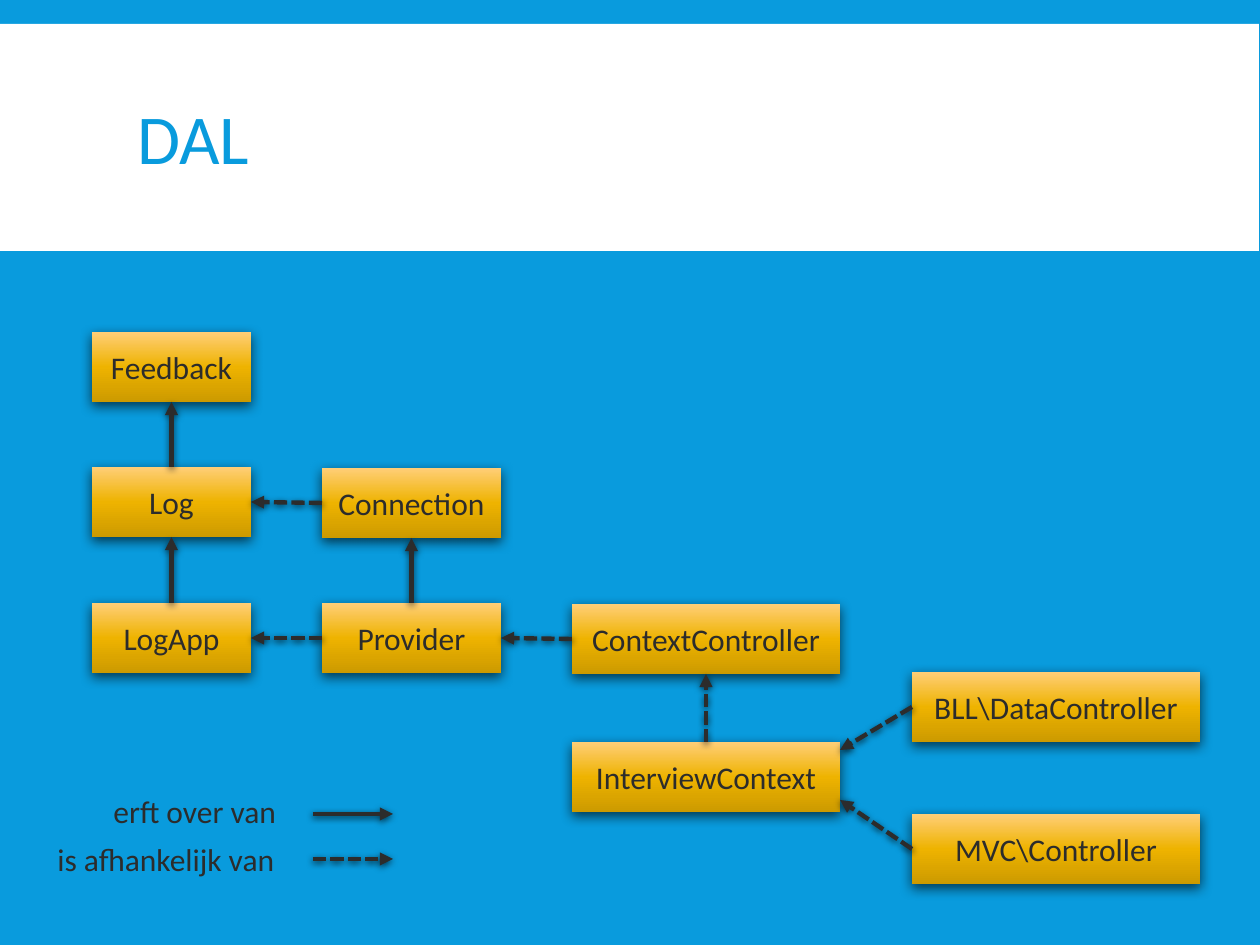
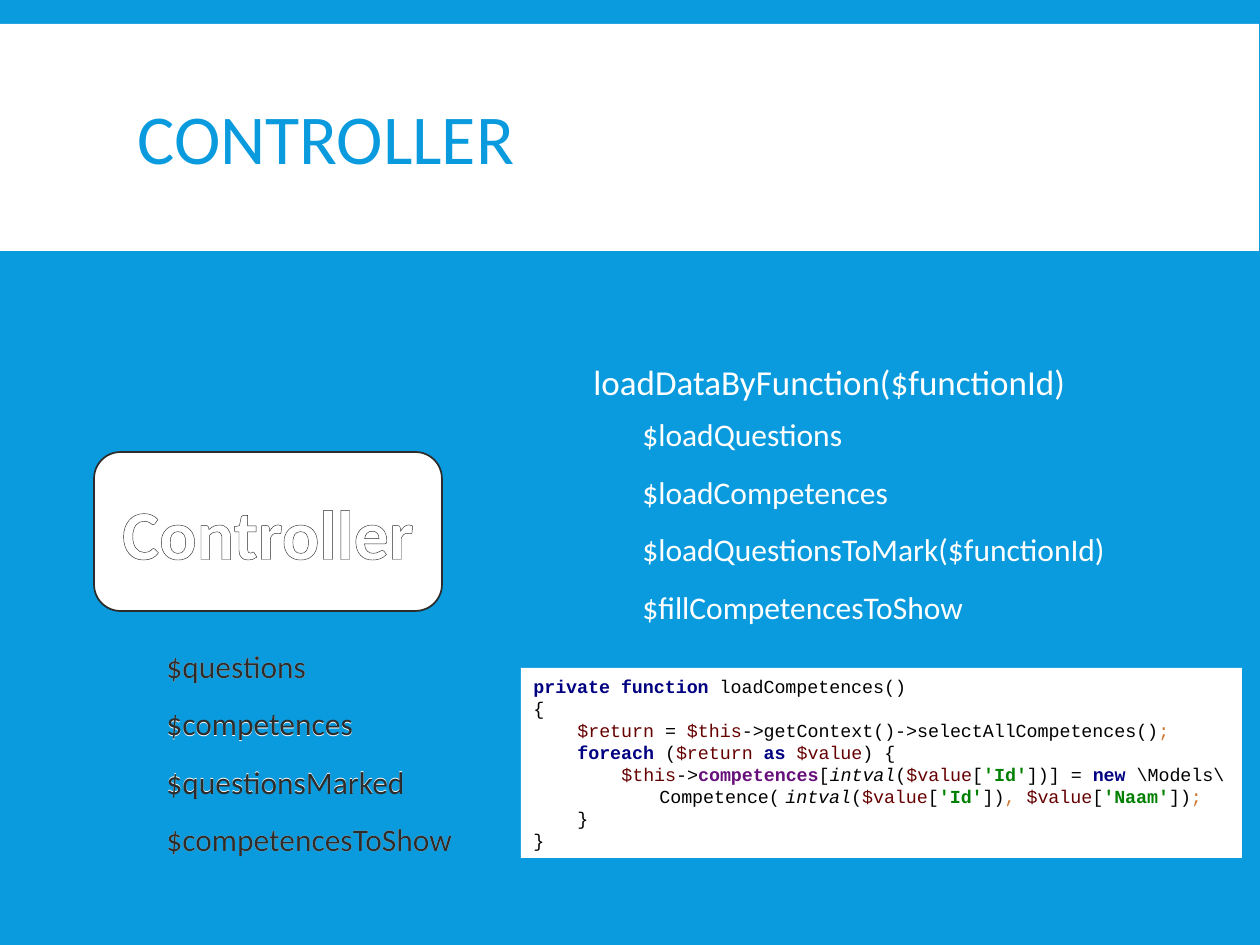
from copy import deepcopy

from pptx import Presentation
from pptx.dml.color import RGBColor
from pptx.enum.dml import MSO_LINE
from pptx.enum.shapes import MSO_CONNECTOR, MSO_SHAPE
from pptx.enum.text import MSO_ANCHOR, PP_ALIGN
from pptx.oxml.ns import qn
from pptx.oxml.xmlchemy import OxmlElement
from pptx.util import Emu, Pt

BLUE, WHITE, DARK = "099BDD", "FFFFFF", "2C2C2C"
GOLD = ((0, "FFCE77"), (0.5, "EEB300"), (1, "CC9A00"))
TOP, LEFT, BOTTOM, RIGHT = range(4)

CODE_STYLES = {
    "key": dict(color="000080", bold=True),
    "var": dict(color="660000"),
    "field": dict(color="660E7A", bold=True),
    "str": dict(color="008000", bold=True),
    "call": dict(color="000000", italic=True),
    "mark": dict(color="CC7832"),
    "plain": dict(color="000000"),
}
CODE = [
    (0, [("key", "private function "), ("plain", "loadCompetences()")]),
    (0, [("plain", "{")]),
    (44, [("var", "$return "), ("plain", "= "), ("var", "$this"),
          ("plain", "->getContext()->selectAllCompetences()"), ("mark", ";")]),
    (44, [("key", "foreach "), ("plain", "("), ("var", "$return "), ("key", "as "),
          ("var", "$value"), ("plain", ") {")]),
    (88, [("var", "$this"), ("plain", "->"), ("field", "competences"), ("plain", "["),
          ("call", "intval"), ("plain", "("), ("var", "$value"), ("plain", "["),
          ("str", "'Id'"), ("plain", "])] = "), ("key", "new "), ("plain", "\\Models\\")]),
    (126, [("plain", "Competence(\t"), ("call", "intval"), ("plain", "("),
           ("var", "$value"), ("plain", "["), ("str", "'Id'"), ("plain", "])"),
           ("mark", ", "), ("var", "$value"), ("plain", "["), ("str", "'Naam'"),
           ("plain", "])"), ("mark", ";")]),
    (44, [("plain", "}")]),
    (0, [("plain", "}")]),
]


def px(n):
    return Emu(round(n * 914400 / 126))


def rgb(value):
    return RGBColor.from_string(value)


def child(parent, tag, **attrs):
    el = OxmlElement(tag)
    for name, value in attrs.items():
        el.set(name, str(value))
    parent.append(el)
    return el


def add_shadow(effects, alpha, blur, dist):
    shadow = child(effects, "a:outerShdw", blurRad=Pt(blur), dist=Pt(dist),
                   dir=5400000, algn="ctr", rotWithShape=0)
    child(child(shadow, "a:srgbClr", val="000000"), "a:alpha", val=alpha * 1000)


def write(p, text, size=18, color=DARK, font="Calibri", bold=False, italic=False):
    r = p.add_run()
    r.text = text
    r.font.name, r.font.size = font, Pt(size)
    r.font.bold, r.font.italic = bold, italic
    r.font.color.rgb = rgb(color)
    return r


class Deck:
    def __init__(self):
        self.prs = Presentation()
        self.prs.slide_width, self.prs.slide_height = px(1260), px(945)
        fill = self.prs.slide_master.background.fill
        fill.solid()
        fill.fore_color.rgb = rgb(BLUE)

    def slide(self, title):
        self.s = self.prs.slides.add_slide(self.prs.slide_layouts[6])
        self.shape(0, 24, 1259, 227)
        tf = self.text(title, 125, 39, 1012, 208, size=40, color=BLUE)
        tf.vertical_anchor = MSO_ANCHOR.MIDDLE
        tf.paragraphs[0].line_spacing = 0.85

    def text(self, text, x, y, w, h=50, **fmt):
        tf = self.s.shapes.add_textbox(px(x), px(y), px(w), px(h)).text_frame
        tf.word_wrap = False
        write(tf.paragraphs[0], text, **fmt)
        return tf

    def shape(self, x, y, w, h, kind=MSO_SHAPE.RECTANGLE, line=None):
        sp = self.s.shapes.add_shape(kind, px(x), px(y), px(w), px(h))
        sp.shadow.inherit = False
        sp.fill.solid()
        sp.fill.fore_color.rgb = rgb(WHITE)
        if line:
            sp.line.color.rgb = rgb(line)
            sp.line.width = Pt(1)
        else:
            sp.line.fill.background()
        sp.text_frame.vertical_anchor = MSO_ANCHOR.MIDDLE
        return sp

    def class_box(self, name, x, y, w):
        sp = self.shape(x, y, w, 70)
        sp.fill.gradient()
        sp.fill.gradient_angle = 270
        spPr = sp._element.spPr
        stops = spPr.find(".//" + qn("a:gsLst"))
        stops.insert(1, deepcopy(stops[0]))
        for stop, (position, color) in zip(sp.fill.gradient_stops, GOLD):
            stop.position = position
            stop.color.rgb = rgb(color)
        add_shadow(spPr.find(qn("a:effectLst")), 63, 7, 2.2)
        p = sp.text_frame.paragraphs[0]
        p.alignment = PP_ALIGN.CENTER
        write(p, name)
        sp.text_frame.word_wrap = False
        return sp

    def arrow(self, start=(0, 0), end=(0, 0), dashed=False, begin=None, finish=None):
        cx = self.s.shapes.add_connector(MSO_CONNECTOR.STRAIGHT, *map(px, start + end))
        if begin:
            cx.begin_connect(*begin)
        if finish:
            cx.end_connect(*finish)
        cx.line.color.rgb = rgb(DARK)
        cx.line.width = Pt(2.5)
        if dashed:
            cx.line.dash_style = MSO_LINE.SQUARE_DOT
        spPr = cx._element.spPr
        child(spPr.find(qn("a:ln")), "a:tailEnd", type="triangle")
        add_shadow(child(spPr, "a:effectLst"), 68, 4, 1.2)

    def code(self, lines, x, y, w, h):
        tf = self.shape(x, y, w, h).text_frame
        tf.word_wrap = False
        for i, (indent, tokens) in enumerate(lines):
            p = tf.add_paragraph() if i else tf.paragraphs[0]
            p.alignment = PP_ALIGN.LEFT
            pPr = p._p.get_or_add_pPr()
            pPr.set("marL", str(px(indent)))
            pPr.set("indent", "0")
            for style, text in tokens:
                write(p, text, size=10.5, font="Courier New", **CODE_STYLES[style])


def dal_slide(deck):
    deck.slide("DAL")
    boxes = {name: deck.class_box(name, x, y, w) for name, x, y, w in (
        ("Feedback", 92, 332, 159),
        ("Log", 92, 467, 159),
        ("LogApp", 92, 603, 159),
        ("Connection", 322, 468, 179),
        ("Provider", 322, 603, 179),
        ("ContextController", 572, 604, 268),
        ("InterviewContext", 572, 742, 268),
        ("BLL\\DataController", 912, 672, 288),
        ("MVC\\Controller", 912, 814, 288),
    )}
    for source, target, side, target_side, dashed in (
        ("Log", "Feedback", TOP, BOTTOM, False),
        ("LogApp", "Log", TOP, BOTTOM, False),
        ("Provider", "Connection", TOP, BOTTOM, False),
        ("Connection", "Log", LEFT, RIGHT, True),
        ("Provider", "LogApp", LEFT, RIGHT, True),
        ("ContextController", "Provider", LEFT, RIGHT, True),
        ("InterviewContext", "ContextController", TOP, BOTTOM, True),
    ):
        deck.arrow(dashed=dashed, begin=(boxes[source], side),
                   finish=(boxes[target], target_side))
    for source, y in (("BLL\\DataController", 750), ("MVC\\Controller", 800)):
        deck.arrow(end=(840, y), dashed=True, begin=(boxes[source], LEFT))
    for label, x, y, w, line_y, dashed in (
        ("erft over van", 101, 786, 193, 814, False),
        ("is afhankelijk van", 45, 834, 249, 859, True),
    ):
        deck.text(label, x, y, w)
        deck.arrow((313, line_y), (393, line_y), dashed)


def controller_slide(deck):
    deck.slide("CONTROLLER")
    sp = deck.shape(94, 452, 348, 159, MSO_SHAPE.ROUNDED_RECTANGLE, DARK)
    p = sp.text_frame.paragraphs[0]
    p.alignment = PP_ALIGN.CENTER
    r = write(p, "Controller", size=40, color=WHITE, bold=True)
    outline = OxmlElement("a:ln")
    outline.set("w", str(Pt(0.75)))
    child(child(outline, "a:solidFill"), "a:srgbClr", val=DARK)
    r.font._element.insert(0, outline)

    fields = (("$questions", 169), ("$competences", 218),
              ("$questionsMarked", 268), ("$competencesToShow", 325))
    for color, tops in ((WHITE, (641, 699, 756, 814)), (DARK, (641, 698, 757, 814))):
        for (name, w), y in zip(fields, tops):
            deck.text(name, 154, y, w, color=color)

    deck.text("loadDataByFunction($functionId)", 581, 354, 517, 55, size=20, color=WHITE)
    steps = (("$loadQuestions", 232), ("$loadCompetences", 280),
             ("$loadQuestionsToMark($functionId)", 505), ("$fillCompetencesToShow", 362))
    for i, (name, w) in enumerate(steps):
        deck.text(name, 630, 409 + 57.5 * i, w, color=WHITE)
    deck.code(CODE, 521, 668, 721, 190)


def main():
    deck = Deck()
    dal_slide(deck)
    controller_slide(deck)
    deck.prs.save("out.pptx")


if __name__ == "__main__":
    main()
